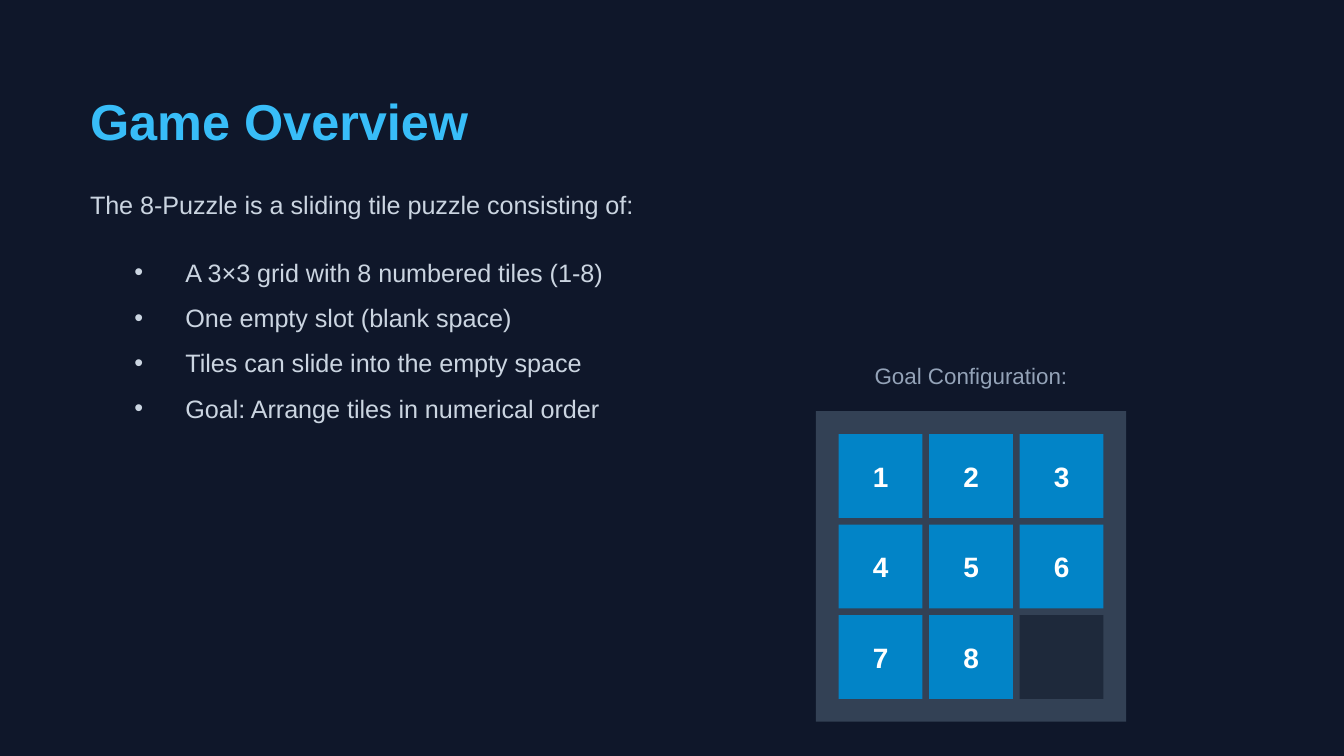
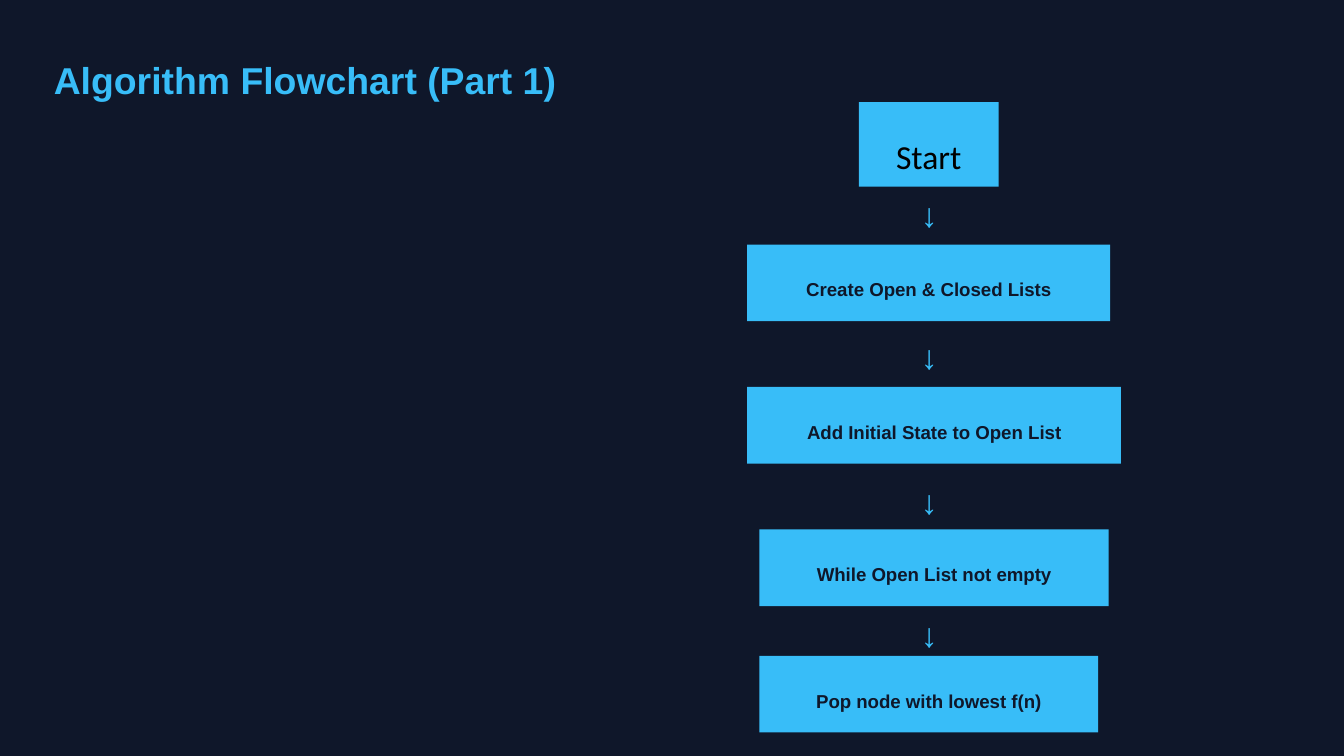
from lxml import etree
from pptx import Presentation
from pptx.dml.color import RGBColor
from pptx.enum.shapes import MSO_SHAPE
from pptx.enum.text import MSO_ANCHOR, PP_ALIGN
from pptx.oxml.ns import qn
from pptx.util import Inches, Pt

RECTANGLE = MSO_SHAPE.RECTANGLE
TOP, MIDDLE = MSO_ANCHOR.TOP, MSO_ANCHOR.MIDDLE
LEFT, CENTER = PP_ALIGN.LEFT, PP_ALIGN.CENTER

COLORS = {
    "background": "0F172A",
    "accent": "38BDF8",
    "body": "CBD5E1",
    "caption": "94A3B8",
    "panel": "334155",
    "tile": "0284C7",
    "empty": "1E293B",
    "white": "FFFFFF",
    "black": "000000",
}


def add_box(page, left, top, width, height, fill=None):
    """Add a plain rectangle, or a text box when there is no fill."""
    place = [Inches(length) for length in (left, top, width, height)]
    if fill is None:
        return page.shapes.add_textbox(*place)
    box = page.shapes.add_shape(RECTANGLE, *place)
    box.shadow.inherit = False
    box.fill.solid()
    box.fill.fore_color.rgb = RGBColor.from_string(COLORS[fill])
    box.line.fill.background()
    return box


def write(box, lines, size, color, bold=False, font="Arial", align=LEFT,
          spacing=None, inset=0, anchor=TOP, bullet_indent=None):
    """Fill a box with one paragraph per line, all in one style."""
    frame = box.text_frame
    frame.word_wrap = True
    frame.vertical_anchor = anchor
    frame.margin_left = frame.margin_right = Inches(inset)
    frame.margin_top = frame.margin_bottom = Inches(inset)
    for index, line in enumerate(lines):
        para = frame.add_paragraph() if index else frame.paragraphs[0]
        para.alignment = align
        if spacing:
            para.line_spacing = Pt(spacing)
        if bullet_indent:
            properties = para._p.get_or_add_pPr()
            properties.set("marL", str(Inches(bullet_indent)))
            properties.set("indent", str(-Inches(bullet_indent)))
            etree.SubElement(properties, qn("a:buFont")).set("typeface", font)
            etree.SubElement(properties, qn("a:buChar")).set("char", "•")
        span = para.add_run()
        span.text = line
        span.font.name = font
        span.font.size = Pt(size)
        span.font.bold = bold
        span.font.color.rgb = RGBColor.from_string(COLORS[color])


deck = Presentation()
deck.slide_width = Inches(10)
deck.slide_height = Inches(10) * 9 // 16

# Each page: background and title
pages = []
for title, left, top, width, size in (
    ("Game Overview", 0.67, 0.67, 8.84, 27),
    ("Algorithm Flowchart (Part 1)", 0.4, 0.31, 5.49, 20),
):
    page = deck.slides.add_slide(deck.slide_layouts[6])
    page.background.fill.solid()
    page.background.fill.fore_color.rgb = RGBColor.from_string(COLORS["background"])
    write(add_box(page, left, top, width, 0.45), [title], size, "accent",
          bold=True, spacing=32.4)
    pages.append(page)
overview, flowchart = pages

# Game overview: introduction and bullets
write(add_box(overview, 0.67, 1.37, 8.84, 0.26),
      ["The 8-Puzzle is a sliding tile puzzle consisting of:"],
      13.5, "body", spacing=18.9)
features = [
    "A 3×3 grid with 8 numbered tiles (1-8)",
    "One empty slot (blank space)",
    "Tiles can slide into the empty space",
    "Goal: Arrange tiles in numerical order",
]
write(add_box(overview, 1, 1.8, 8.33, 1.73), features, 13.5, "body",
      spacing=24.3, bullet_indent=0.38)

# Game overview: goal board
board_left, board_top, board_size = 6.07, 3.06, 2.31
padding, gap = 0.17, 0.05
tile_size = (board_size - 2 * padding - 2 * gap) / 3
pitch = tile_size + gap
write(add_box(overview, board_left, 2.66, board_size, 0.23),
      ["Goal Configuration:"], 12, "caption", align=CENTER, spacing=16.8)
add_box(overview, board_left, board_top, board_size, board_size, "panel")
for index in range(9):
    row, column = divmod(index, 3)
    is_empty = index == 8
    tile = add_box(overview, board_left + padding + column * pitch,
                   board_top + padding + row * pitch, tile_size, tile_size,
                   "empty" if is_empty else "tile")
    if not is_empty:
        write(tile, [str(index + 1)], 15, "white", bold=True, align=CENTER,
              anchor=MIDDLE)

# Flowchart: start box, then steps with an arrow above each
write(add_box(flowchart, 6.39, 0.76, 1.04, 0.63, "accent"), ["Start"],
      18, "black", font="Calibri", align=CENTER, inset=0.25)
steps = [
    ("Create Open & Closed Lists", 5.56, 1.82, 2.7, 1.39),
    ("Add Initial State to Open List", 5.56, 2.88, 2.78, 2.45),
    ("While Open List not empty", 5.65, 3.94, 2.6, 3.53),
    ("Pop node with lowest f(n)", 5.65, 4.88, 2.52, 4.52),
]
for label, left, top, width, arrow_top in steps:
    write(add_box(flowchart, left, top, width, 0.57, "accent"), [label],
          10, "background", bold=True, align=CENTER, inset=0.25)
    write(add_box(flowchart, 6.85, arrow_top, 0.13, 0.35), ["↓"],
          18, "accent", align=CENTER, spacing=25.2)

deck.save("out.pptx")
